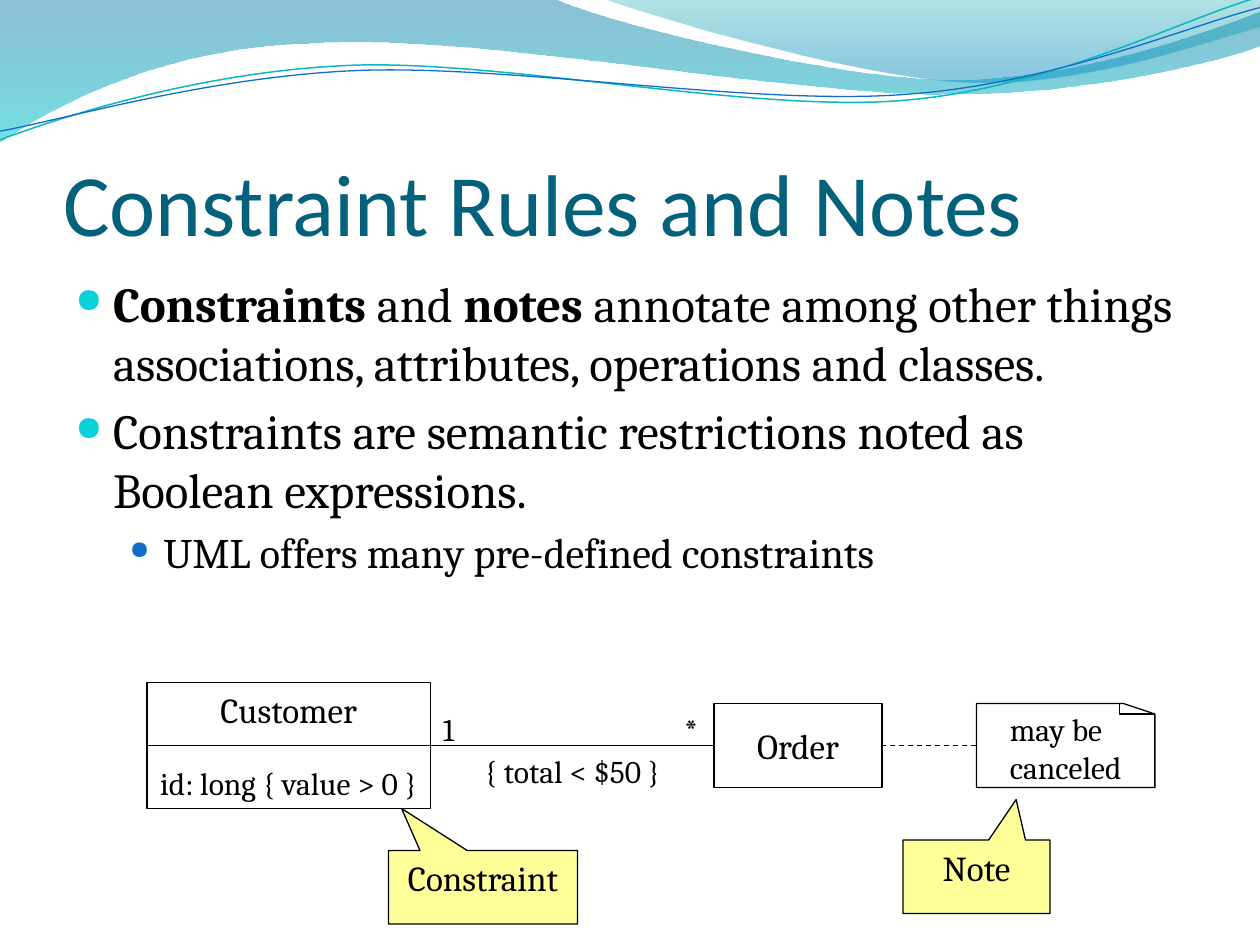
from lxml.etree import SubElement
from pptx import Presentation
from pptx.dml.color import RGBColor
from pptx.enum.dml import MSO_LINE
from pptx.enum.shapes import MSO_CONNECTOR, MSO_SHAPE
from pptx.enum.text import MSO_ANCHOR, MSO_AUTO_SIZE, PP_ALIGN
from pptx.oxml.ns import qn
from pptx.util import Pt

THEME = {
    "title_font": "Calibri", "text_font": "Cambria",
    "title": "04617B", "ink": "000000", "callout": "FFFF99",
    "title_size": 50, "class_size": 20, "label_size": 18,
    "levels": [
        {"size": 28, "bullet": "0BD0D9", "scale": 70, "left": 21.6, "hang": 21.6},
        {"size": 24, "bullet": "0F6FC6", "scale": 60, "left": 50.4, "hang": 19.4},
    ],
    "hairline": 0.75,
}

TITLE = "Constraint Rules and Notes"
BULLETS = [
    (0, [("Constraints", True), (" and ", False), ("notes", True),
         (" annotate among other things associations, attributes, operations and classes.", False)]),
    (0, [("Constraints are semantic restrictions noted as Boolean expressions.", False)]),
    (1, [("UML offers many pre-defined constraints", False)]),
]

CUSTOMER = (84, 390, 162, 72)
ORDER = (408, 402, 96, 48)
NOTE = (558, 402, 102, 48)
FOLD = (18, 6)
AXIS = 426
LABELS = [
    ("*", (384, 402, 24, 28.8)),
    ("1", (246, 402, 24, 28.8)),
    ("{ total < $50 }", (270, AXIS, 118.8, 28.8)),
]
CALLOUTS = [
    ("Constraint", (222, 486, 108, 42), (-0.43, -1.07)),
    ("Note", (516, 480, 84, 42), (0.27, -1.05)),
]

BANDS = [
    ([(0, 0), (316.8, -0.7), (342.7, 12.2, 478.1, 45.4, 545.8, 45.4),
      (614.2, 45.4, 689.8, 18.7, 720, 6.5), (720.7, 25.9),
      (707.8, 31.7, 626.4, 54.7, 537.1, 54), (447.8, 54, 275, 20.2, 185, 24.5),
      (92.9, 25.9, 33.1, 59.8, -0.7, 81.4)],
     [(0, "0074A1", 45), (1, "00C6CF", 55)]),
    ([(344.9, -0.7), (366.5, 7.9, 491, 44.6, 553.7, 46.8),
      (616.3, 49.7, 691.9, 23, 720, 15.1), (720, 0)],
     [(0, "00A1A9", 30), (0.8, "008BBF", 45)]),
]
STRANDS = [
    ([(0, 79.9), (34.6, 67, 113.8, 41, 199.4, 37.4),
      (284.4, 33.8, 427, 64.1, 513.4, 57.6), (599.8, 51.1, 675.4, 10.8, 718.6, -1.4)],
     "0AB8BF", 0.85),
    ([(0, 74.9), (33.8, 69.1, 118.1, 43.9, 203.8, 40.3),
      (290.2, 36.7, 429.8, 60.5, 516.2, 54), (601.9, 48.2, 677.5, 15.1, 720, 4.3)],
     "0F6FC6", 0.75),
]


def rgb(name):
    return RGBColor.from_string(THEME.get(name, name))


def points(values):
    return [Pt(value) for value in values]


def add_outline(shapes, outline, close):
    start, *segments = [points(part) for part in outline]
    corners = [pair for segment in segments for pair in zip(segment[::2], segment[1::2])]
    builder = shapes.build_freeform(*start, scale=1.0)
    builder.add_line_segments(corners, close=close)
    shape = builder.convert_to_shape()
    sides = iter(list(shape._element.spPr.iter(qn("a:lnTo"))))
    for segment in segments:
        side = next(sides)
        if len(segment) == 6:
            curve = side.makeelement(qn("a:cubicBezTo"))
            side.addprevious(curve)
            for part in (side, next(sides), next(sides)):
                curve.append(part[0])
                part.getparent().remove(part)
    shape.shadow.inherit = False
    shape.fill.background()
    return shape


def draw_line(shape, color="ink", width=THEME["hairline"]):
    shape.line.color.rgb = rgb(color)
    shape.line.width = Pt(width)


def fill_gradient(shape, stops):
    shape.fill.gradient()
    shape.fill.gradient_angle = 270
    for stop, (position, color, _) in zip(shape.fill.gradient_stops, stops):
        stop.position = position
        stop.color.rgb = rgb(color)
    for tint, (_, _, opacity) in zip(shape._element.spPr.iter(qn("a:srgbClr")), stops):
        SubElement(tint, qn("a:alpha"), val=str(opacity * 1000))
    shape.line.fill.background()


def set_font(paragraph, size, face="text_font", color="ink"):
    paragraph.font.size = Pt(size)
    paragraph.font.name = THEME[face]
    paragraph.font.color.rgb = rgb(color)


def write(shape, text, size, align=PP_ALIGN.CENTER, anchor=MSO_ANCHOR.TOP, wrap=True):
    frame = shape.text_frame
    frame.word_wrap = wrap
    frame.vertical_anchor = anchor
    frame.text = text
    frame.paragraphs[0].alignment = align
    set_font(frame.paragraphs[0], size)


def add_box(shapes, kind, bounds, fill=None):
    box = shapes.add_shape(kind, *points(bounds))
    box.shadow.inherit = False
    if fill:
        box.fill.solid()
        box.fill.fore_color.rgb = rgb(fill)
    else:
        box.fill.background()
    draw_line(box)
    return box


def add_line(shapes, start, end, kind=MSO_CONNECTOR.STRAIGHT):
    line = shapes.add_connector(kind, *points(start + end))
    draw_line(line)
    SubElement(line._element.spPr, qn("a:effectLst"))
    return line


def add_bullets(shapes):
    frame = shapes.add_textbox(*points((36, 152.64, 648, 345.6))).text_frame
    frame.word_wrap = True
    for index, (depth, runs) in enumerate(BULLETS):
        level = THEME["levels"][depth]
        paragraph = frame.add_paragraph() if index else frame.paragraphs[0]
        paragraph.level = depth
        props = paragraph._p.get_or_add_pPr()
        props.set("marL", str(Pt(level["left"])))
        props.set("indent", str(-Pt(level["hang"])))
        SubElement(SubElement(props, qn("a:buClr")), qn("a:srgbClr"), val=level["bullet"])
        SubElement(props, qn("a:buSzPct"), val=str(level["scale"] * 1000))
        SubElement(props, qn("a:buChar"), char="●")
        if index:
            paragraph.space_before = Pt(level["size"] * 0.2)
        set_font(paragraph, level["size"])
        for text, bold in runs:
            run = paragraph.add_run()
            run.text = text
            run.font.bold = bold


def add_diagram(shapes):
    left, top, width, height = CUSTOMER
    customer = add_box(shapes, MSO_SHAPE.RECTANGLE, CUSTOMER)
    write(customer, "id: long { value > 0 }", THEME["label_size"], anchor=MSO_ANCHOR.BOTTOM, wrap=False)
    divider = add_line(shapes, (left, AXIS), (left + width, AXIS))
    divider.begin_connect(customer, 1)
    divider.end_connect(customer, 3)
    heading = shapes.add_textbox(*points((left, top, width, 31)))
    write(heading, "Customer", THEME["class_size"], anchor=MSO_ANCHOR.BOTTOM)

    order = add_box(shapes, MSO_SHAPE.RECTANGLE, ORDER)
    write(order, "Order", THEME["class_size"], anchor=MSO_ANCHOR.MIDDLE, wrap=False)
    association = add_line(shapes, (left + width, AXIS), (ORDER[0], AXIS))
    association.begin_connect(customer, 3)
    association.end_connect(order, 1)
    for text, bounds in LABELS:
        label = shapes.add_textbox(*points(bounds))
        write(label, text, THEME["label_size"], PP_ALIGN.LEFT, wrap=False)
        label.text_frame.auto_size = MSO_AUTO_SIZE.SHAPE_TO_FIT_TEXT

    left, top, width, height = NOTE
    right, bottom = left + width, top + height
    fold_start, fold_end = (right - FOLD[0], top), (right, top + FOLD[1])
    draw_line(add_outline(shapes, [(left, top), (left, bottom), (right, bottom), fold_end, fold_start], True))
    fold = add_line(shapes, fold_start, fold_end, MSO_CONNECTOR.ELBOW)
    guides = fold._element.spPr.find(qn("a:prstGeom")).get_or_add_avLst()
    SubElement(guides, qn("a:gd"), name="adj1", fmla="val -12500")
    remark = shapes.add_textbox(*points((left + 12, top, 91.2, 52.8)))
    write(remark, "may be canceled", THEME["label_size"], PP_ALIGN.LEFT)
    anchor = add_line(shapes, (left, AXIS), (ORDER[0] + ORDER[2], AXIS))
    anchor.line.dash_style = MSO_LINE.DASH
    anchor.end_connect(order, 3)

    for text, bounds, tip in CALLOUTS:
        callout = add_box(shapes, MSO_SHAPE.RECTANGULAR_CALLOUT, bounds, "callout")
        callout.adjustments[0], callout.adjustments[1] = tip
        write(callout, text, THEME["class_size"])


def main():
    deck = Presentation()
    deck.slide_width, deck.slide_height = points((720, 540))
    slide = deck.slides.add_slide(deck.slide_layouts[5])
    shapes = slide.shapes
    for outline, stops in BANDS:
        fill_gradient(add_outline(shapes, outline, True), stops)
    for outline, color, width in STRANDS:
        draw_line(add_outline(shapes, outline, False), color, width)

    title = shapes.title
    title.left, title.top, title.width, title.height = points((36, 55, 648, 90))
    write(title, TITLE, THEME["title_size"], PP_ALIGN.LEFT, MSO_ANCHOR.BOTTOM)
    set_font(title.text_frame.paragraphs[0], THEME["title_size"], "title_font", "title")
    title.text_frame.auto_size = MSO_AUTO_SIZE.NONE
    title.text_frame.margin_left = title.text_frame.margin_right = title.text_frame.margin_bottom = 0

    add_bullets(shapes)
    add_diagram(shapes)
    deck.save("out.pptx")


if __name__ == "__main__":
    main()
